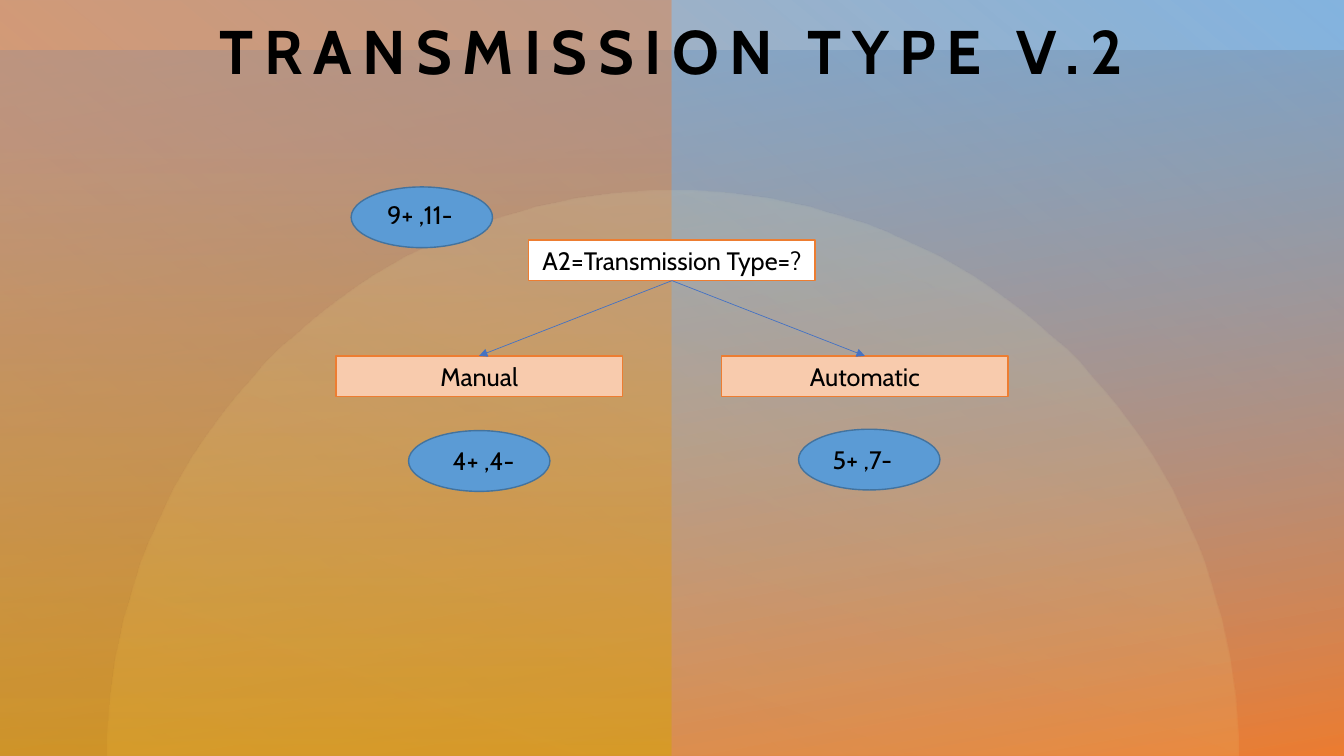
import math

from lxml import etree
from pptx import Presentation
from pptx import util as u
from pptx.dml.color import RGBColor
from pptx.enum import shapes, text
from pptx.oxml import ns

FONT = "Cabin"
BLACK = RGBColor(0x00, 0x00, 0x00)
WHITE = RGBColor(0xFF, 0xFF, 0xFF)
BLUE = RGBColor(0x5B, 0x9B, 0xD5)
DARK_BLUE = RGBColor(0x43, 0x73, 0x9E)
ARROW_BLUE = RGBColor(0x44, 0x72, 0xC4)
ORANGE = RGBColor(0xED, 0x7D, 0x31)
PEACH = RGBColor(0xF4, 0xB1, 0x83)
LIGHT_PEACH = RGBColor(0xF8, 0xCB, 0xAD)
GOLD = RGBColor(0xCF, 0x9B, 0x00)
YELLOW = RGBColor(0xFF, 0xD1, 0x49)
PALE_GREEN = RGBColor(0xE2, 0xF0, 0xD9)

SLIDE_WIDTH, SLIDE_HEIGHT = 960, 540
NODE_WIDTH, NODE_HEIGHT = 204.5, 29.08
COUNT_WIDTH, COUNT_HEIGHT = 101, 43.4


def points(*lengths):
    return [u.Pt(length) for length in lengths]


def write(shape, words, size=18, bold=False, align=text.PP_ALIGN.LEFT,
          anchor=text.MSO_ANCHOR.TOP, spacing=None, inset=None):
    frame = shape.text_frame
    frame.word_wrap = True
    frame.vertical_anchor = anchor
    if inset is not None:
        frame.margin_left = frame.margin_right = u.Pt(inset)
        frame.margin_top = frame.margin_bottom = u.Pt(inset)
    paragraph = frame.paragraphs[0]
    paragraph.alignment = align
    run = paragraph.add_run()
    run.text = words
    run.font.name, run.font.size, run.font.bold = FONT, u.Pt(size), bold
    run.font.color.rgb = BLACK
    if spacing:
        run.font._element.set("spc", str(int(spacing * 100)))


def add_shape(slide, kind, box, fill=None, line=None):
    shape = slide.shapes.add_shape(kind, *points(*box))
    shape.shadow.inherit = False
    if fill is not None:
        shape.fill.solid()
        shape.fill.fore_color.rgb = fill
    if line is None:
        shape.line.fill.background()
    else:
        shape.line.color.rgb = line
        shape.line.width = u.Pt(1)
    return shape


def fill_gradient(shape, stops, angle):
    """Stops are (position, colour, opacity), both numbers in percent; angle is clockwise."""
    shape.fill.gradient()
    shape.fill.gradient_angle = 360 - angle
    for stop, (position, colour, opacity) in zip(shape.fill.gradient_stops, stops):
        stop.position = position / 100
        stop.color.rgb = colour
        colour_element = stop._gs.find(ns.qn("a:srgbClr"))
        alpha = etree.SubElement(colour_element, ns.qn("a:alpha"))
        alpha.set("val", str(opacity * 1000))


def add_backdrop(slide, left, top, width, height):
    # Overlapping translucent washes
    band = 36
    washes = [
        ((left, top, width, height), [(0, BLUE, 75), (100, PEACH, 100)], 130),
        ((left, top + band, width, height - band), [(0, BLUE, 37), (100, ORANGE, 100)], 80),
        ((left, top, width / 2, height), [(19, ORANGE, 41), (99, GOLD, 56)], 90),
    ]
    for box, stops, angle in washes:
        wash = add_shape(slide, shapes.MSO_SHAPE.RECTANGLE, box)
        fill_gradient(wash, stops, angle)

    # Half disc rising from the bottom edge
    radius = 404
    centre_x, centre_y = left + width / 2 + 1, top + height
    arc = [(centre_x - radius * math.cos(math.radians(degree)),
            centre_y - radius * math.sin(math.radians(degree))) for degree in range(0, 181, 2)]
    builder = slide.shapes.build_freeform(*arc[0], scale=u.Pt(1))
    builder.add_line_segments(arc[1:], close=True)
    disc = builder.convert_to_shape()
    disc.shadow.inherit = False
    disc.line.fill.background()
    fill_gradient(disc, [(7, YELLOW, 12), (100, PALE_GREEN, 15)], 290)


def add_title(slide, left, top, width, height):
    title = slide.shapes.add_textbox(*points(left, top, width, height))
    write(title, "TRANSMISSION TYPE V.2", size=44, bold=True, spacing=7.5, inset=0,
          align=text.PP_ALIGN.CENTER, anchor=text.MSO_ANCHOR.MIDDLE)


def add_node(slide, left, top, words, fill):
    node = add_shape(slide, shapes.MSO_SHAPE.RECTANGLE,
                     (left, top, NODE_WIDTH, NODE_HEIGHT), fill, ORANGE)
    write(node, words, align=text.PP_ALIGN.CENTER, anchor=text.MSO_ANCHOR.MIDDLE)


def add_arrow(slide, start, end):
    arrow = slide.shapes.add_connector(shapes.MSO_CONNECTOR.STRAIGHT, *points(*start, *end))
    arrow.line.color.rgb = ARROW_BLUE
    arrow.line.width = u.Pt(0.5)
    etree.SubElement(arrow.line._get_or_add_ln(), ns.qn("a:tailEnd")).set("type", "triangle")
    etree.SubElement(arrow._element.spPr, ns.qn("a:effectLst"))


def add_count(slide, left, top, words, label_x, label_y, label_width):
    add_shape(slide, shapes.MSO_SHAPE.OVAL, (left, top, COUNT_WIDTH, COUNT_HEIGHT),
              BLUE, DARK_BLUE)
    label = slide.shapes.add_textbox(
        *points(left + label_x, top + label_y, label_width, NODE_HEIGHT))
    write(label, words)


def add_tree(slide, left, top, width, height):
    # Question and its two branches
    centre = left + width / 2
    question_top, branch_top = top + 37.4, top + 120.2
    add_node(slide, centre - NODE_WIDTH / 2, question_top, "A2=Transmission Type=?", WHITE)
    branches = [("Manual", left), ("Automatic", left + width - NODE_WIDTH)]
    for words, branch_left in branches:
        add_node(slide, branch_left, branch_top, words, LIGHT_PEACH)
        add_arrow(slide, (centre, question_top + NODE_HEIGHT),
                  (branch_left + NODE_WIDTH / 2, branch_top))

    # Positive and negative counts
    bottom_row = top + height - COUNT_HEIGHT
    add_count(slide, left + 10.8, top - 0.5, "9+ ,11-", 18.7, 5.5, 77)
    add_count(slide, left + 51.8, bottom_row, "4+ ,4-", 24.5, 7.2, 61.2)
    add_count(slide, left + 330.4, bottom_row - 1, "5+ ,7-", 17.3, 7.2, 66.2)


presentation = Presentation()
presentation.slide_width, presentation.slide_height = points(SLIDE_WIDTH, SLIDE_HEIGHT)
slide = presentation.slides.add_slide(presentation.slide_layouts[6])
add_backdrop(slide, 0, 0, SLIDE_WIDTH, SLIDE_HEIGHT)
add_title(slide, 120, 1.5, 720, 68.4)
add_tree(slide, 240, 134, 480, 217)
presentation.save("out.pptx")
